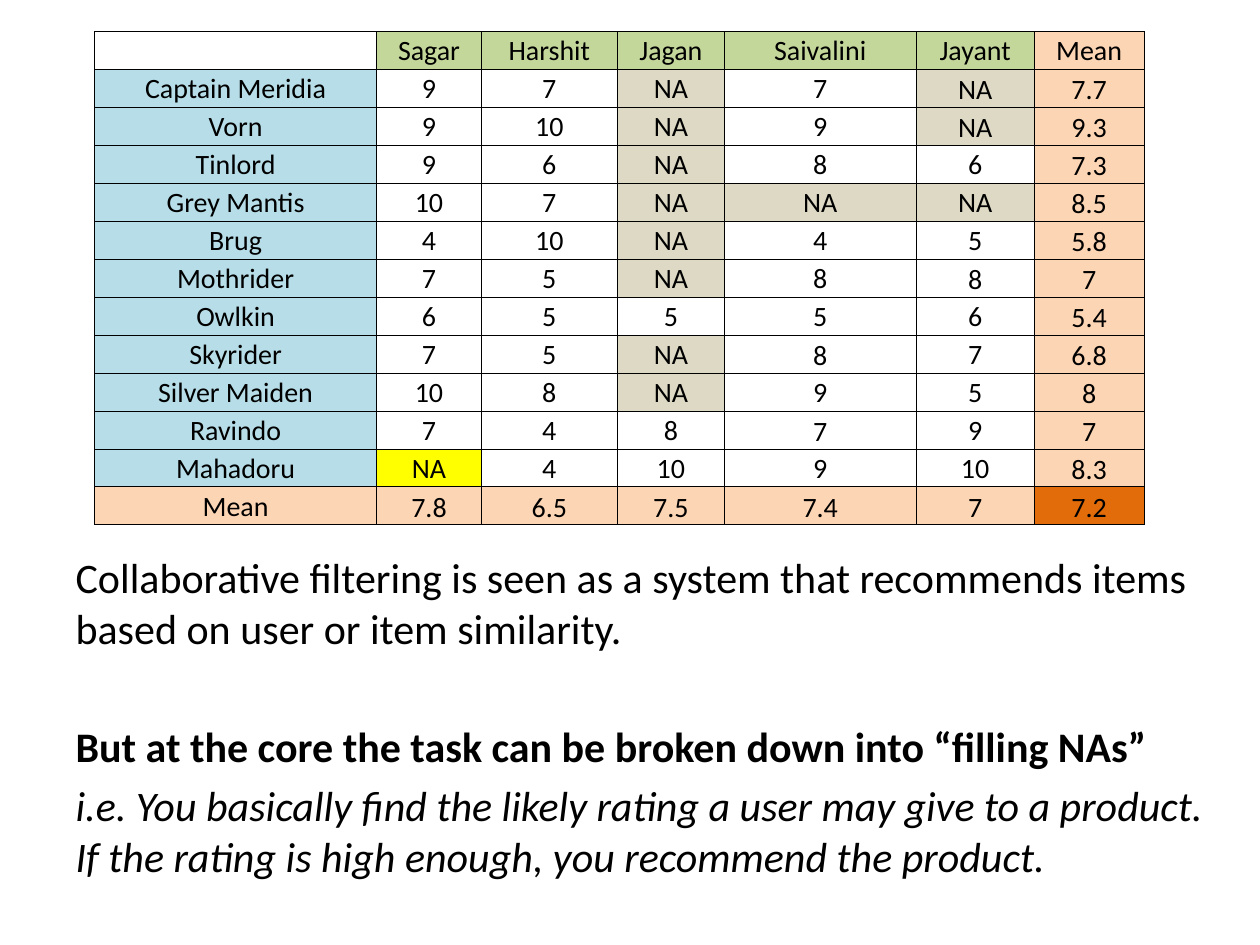
import pptx
import pptx.util
import pptx.dml.color
import pptx.enum.text
import pptx.oxml
import pptx.oxml.ns

SLIDE_W, SLIDE_H = 10, 7.5
FONT = "Calibri"
COLORS = {
    "text": "000000",
    "user": "C4D79B",
    "title": "B7DEE8",
    "mean": "FCD5B4",
    "missing": "DDD9C4",
    "target": "FFFF00",
    "overall": "E26B0A",
}
COL_WIDTHS = [2.24, 0.83, 1.08, 0.85, 1.52, 0.94, 0.87]
TABLE_H = 3.92
RATINGS = [
    ["", "Sagar", "Harshit", "Jagan", "Saivalini", "Jayant", "Mean"],
    ["Captain Meridia", "9", "7", "NA", "7", "NA", "7.7"],
    ["Vorn", "9", "10", "NA", "9", "NA", "9.3"],
    ["Tinlord", "9", "6", "NA", "8", "6", "7.3"],
    ["Grey Mantis", "10", "7", "NA", "NA", "NA", "8.5"],
    ["Brug", "4", "10", "NA", "4", "5", "5.8"],
    ["Mothrider", "7", "5", "NA", "8", "8", "7"],
    ["Owlkin", "6", "5", "5", "5", "6", "5.4"],
    ["Skyrider", "7", "5", "NA", "8", "7", "6.8"],
    ["Silver Maiden", "10", "8", "NA", "9", "5", "8"],
    ["Ravindo", "7", "4", "8", "7", "9", "7"],
    ["Mahadoru", "NA", "4", "10", "9", "10", "8.3"],
    ["Mean", "7.8", "6.5", "7.5", "7.4", "7", "7.2"],
]
LAST_ROW, LAST_COL = len(RATINGS) - 1, len(COL_WIDTHS) - 1
TARGET = (11, 1)
LOW_CELLS = {(1, 5), (2, 5), (6, 5), (8, 4), (10, 4)}
NOTES = [
    ("Collaborative filtering is seen as a system that recommends items "
     "based on user or item similarity. ", dict(before=4.8)),
    ("But at the core the task can be broken down into “filling NAs”",
     dict(before=39, bold=True)),
    ("i.e. You basically find the likely rating a user may give to a product. "
     "If the rating is high enough, you recommend the product.",
     dict(before=4.8, italic=True)),
]


def inches(value):
    return pptx.util.Inches(value)


def rgb(name):
    return pptx.dml.color.RGBColor.from_string(COLORS[name])


def write(p, text, size, bold=False, italic=False, align=None, before=None):
    r = p.add_run()
    r.text = text
    r.font.name = FONT
    r.font.size = pptx.util.Pt(size)
    r.font.bold = bold
    r.font.italic = italic
    r.font.color.rgb = rgb("text")
    p.alignment = align
    if before is not None:
        p.space_before = pptx.util.Pt(before)


def fill_name(row, col):
    if (row, col) == (0, 0):
        return None
    if (row, col) == (LAST_ROW, LAST_COL):
        return "overall"
    if row == LAST_ROW or col == LAST_COL:
        return "mean"
    if row == 0:
        return "user"
    if col == 0:
        return "title"
    if (row, col) == TARGET:
        return "target"
    return "missing" if RATINGS[row][col] == "NA" else None


def cell_anchor(row, col):
    is_mean = row > 0 and col > 0 and (row == LAST_ROW or col == LAST_COL)
    anchor = pptx.enum.text.MSO_ANCHOR
    return anchor.BOTTOM if is_mean or (row, col) in LOW_CELLS else anchor.MIDDLE


def add_borders(cell):
    tcPr = cell._tc.get_or_add_tcPr()
    for i, side in enumerate(("lnL", "lnR", "lnT", "lnB")):
        tcPr.insert(i, pptx.oxml.parse_xml(
            f'<a:{side} {pptx.oxml.ns.nsdecls("a")} w="6350"><a:solidFill>'
            f'<a:srgbClr val="{COLORS["text"]}"/></a:solidFill></a:{side}>'))


def format_cell(cell, row, col):
    cell.margin_left = cell.margin_right = cell.margin_top = inches(0.01)
    cell.margin_bottom = 0
    cell.vertical_anchor = cell_anchor(row, col)
    name = fill_name(row, col)
    if name:
        cell.fill.solid()
        cell.fill.fore_color.rgb = rgb(name)
    else:
        cell.fill.background()
    add_borders(cell)
    write(cell.text_frame.paragraphs[0], RATINGS[row][col], 16,
          align=pptx.enum.text.PP_ALIGN.CENTER)


def add_ratings(s):
    frame = s.shapes.add_table(
        len(RATINGS), len(COL_WIDTHS), inches(SLIDE_W * 0.075),
        inches(SLIDE_H / 30), inches(sum(COL_WIDTHS)), inches(TABLE_H))
    table = frame.table
    table.first_row = table.horz_banding = False
    for column, width in zip(table.columns, COL_WIDTHS):
        column.width = inches(width)
    for i, row in enumerate(table.rows):
        row.height = inches(TABLE_H / len(RATINGS))
        for j, cell in enumerate(row.cells):
            format_cell(cell, i, j)


def fill_body(body):
    body.left, body.top = inches(SLIDE_W * 0.05), inches(4.33)
    body.width, body.height = inches(9.17), inches(2.83)
    tf = body.text_frame
    tf.word_wrap = True
    tf.auto_size = pptx.enum.text.MSO_AUTO_SIZE.NONE
    for i, (text, style) in enumerate(NOTES):
        p = tf.add_paragraph() if i else tf.paragraphs[0]
        write(p, text, 24, **style)
        pPr = p._p.get_or_add_pPr()
        pPr.set("marL", "0")
        pPr.set("indent", "0")
        pPr.append(pptx.oxml.parse_xml(
            f'<a:buNone {pptx.oxml.ns.nsdecls("a")}/>'))


def main():
    prs = pptx.Presentation()
    prs.slide_width, prs.slide_height = inches(SLIDE_W), inches(SLIDE_H)
    s = prs.slides.add_slide(prs.slide_layouts[1])
    title = s.shapes.title._element
    title.getparent().remove(title)
    fill_body(s.placeholders[1])
    add_ratings(s)
    prs.save("out.pptx")


main()
